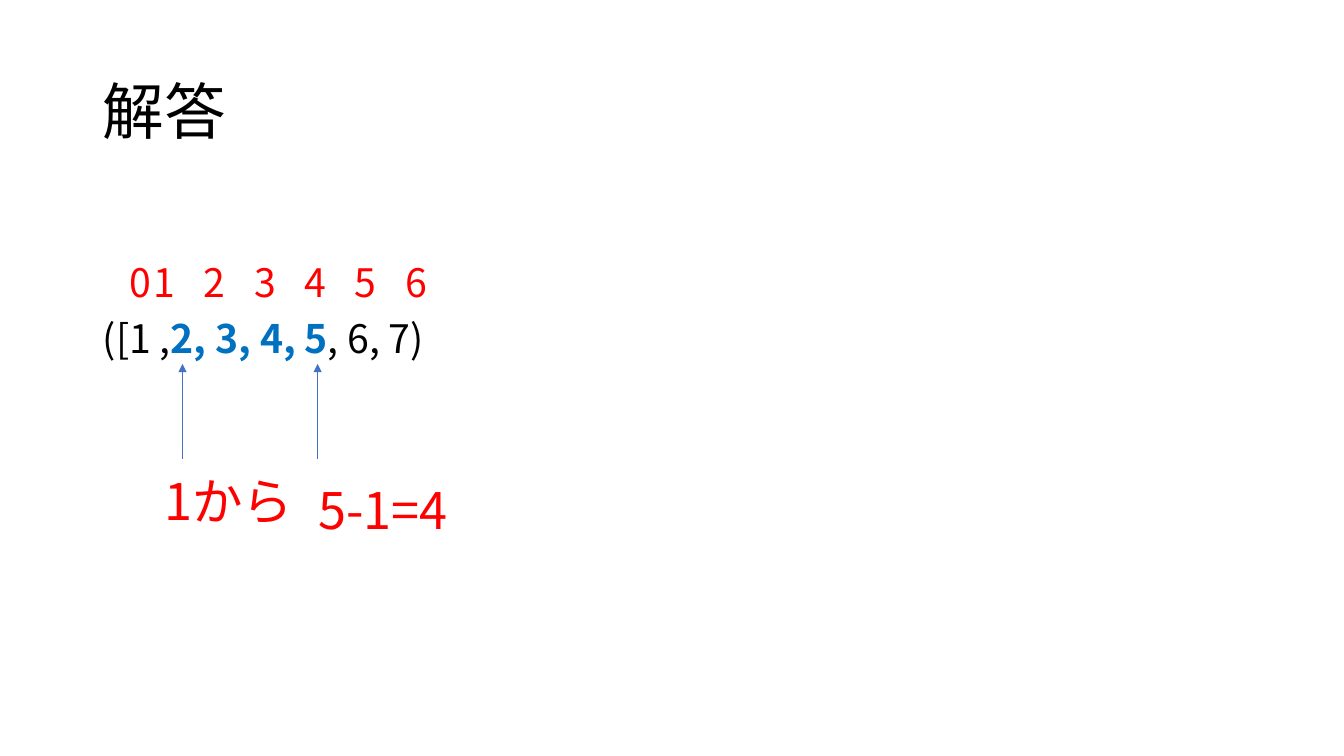
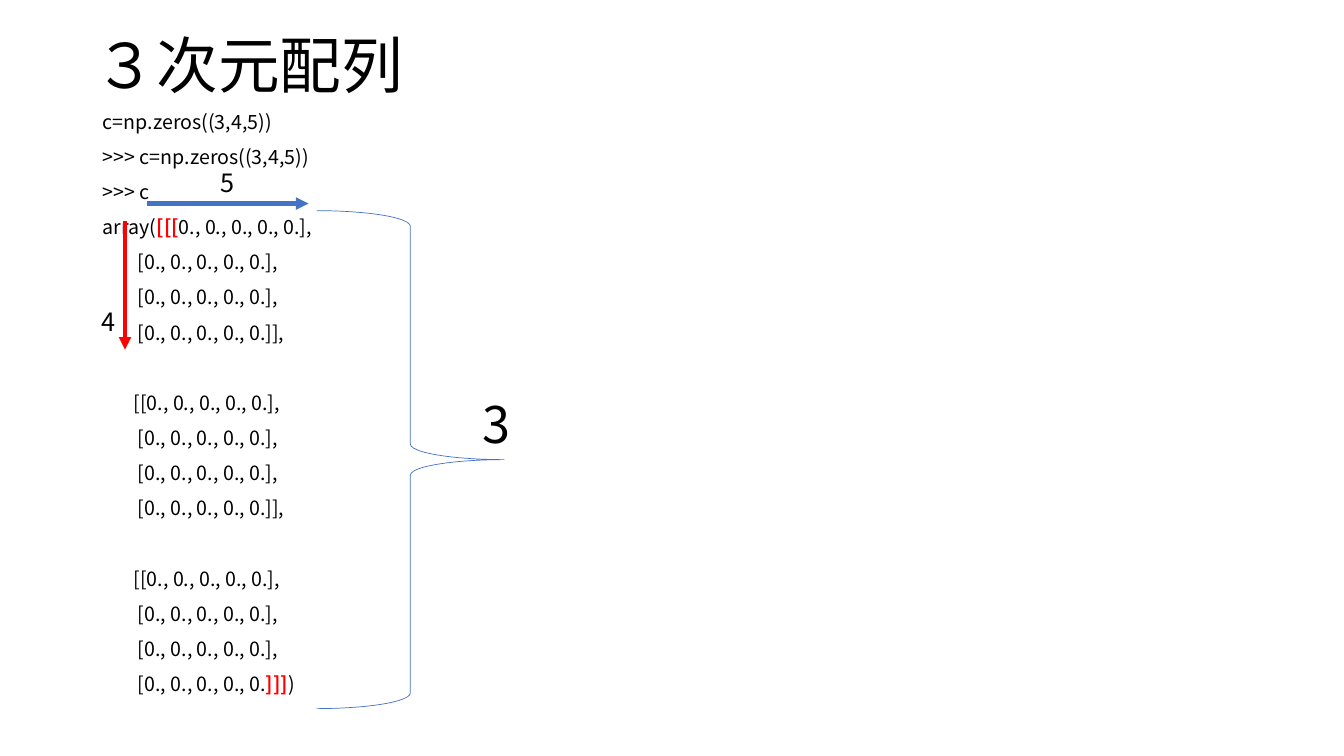
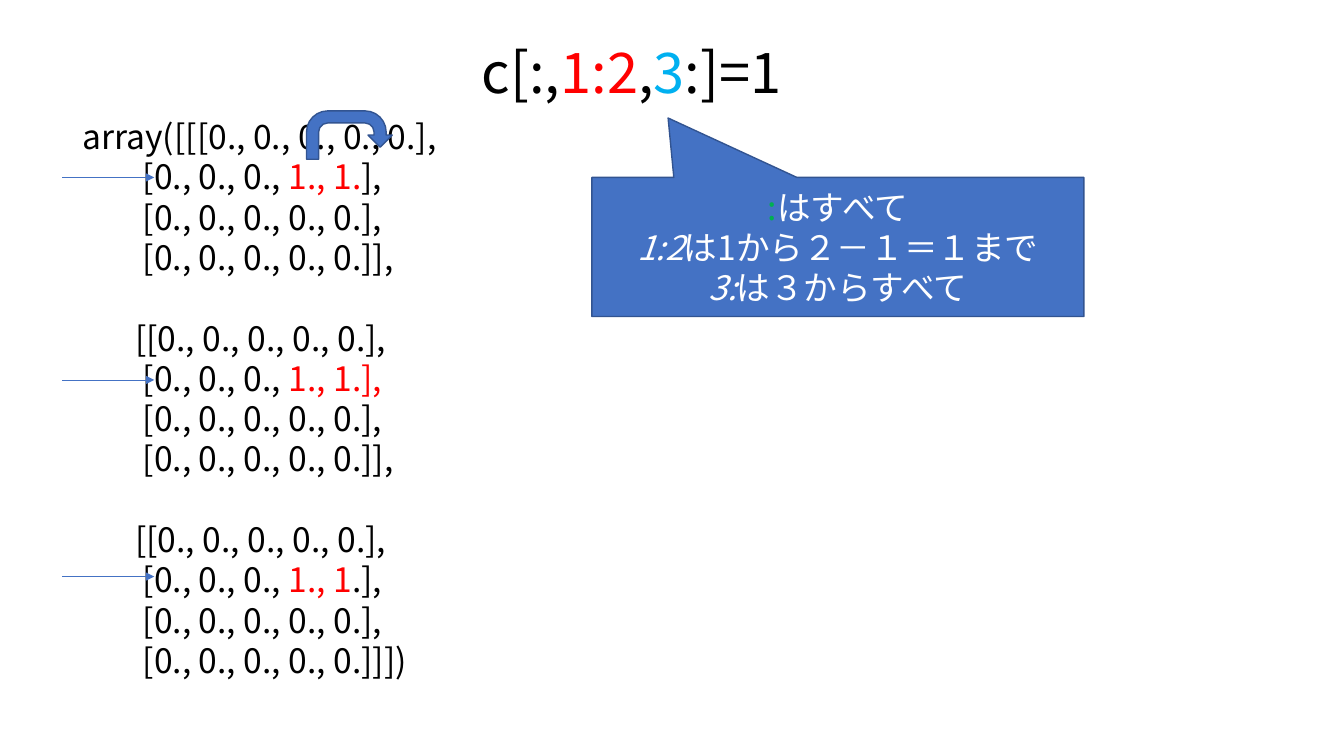
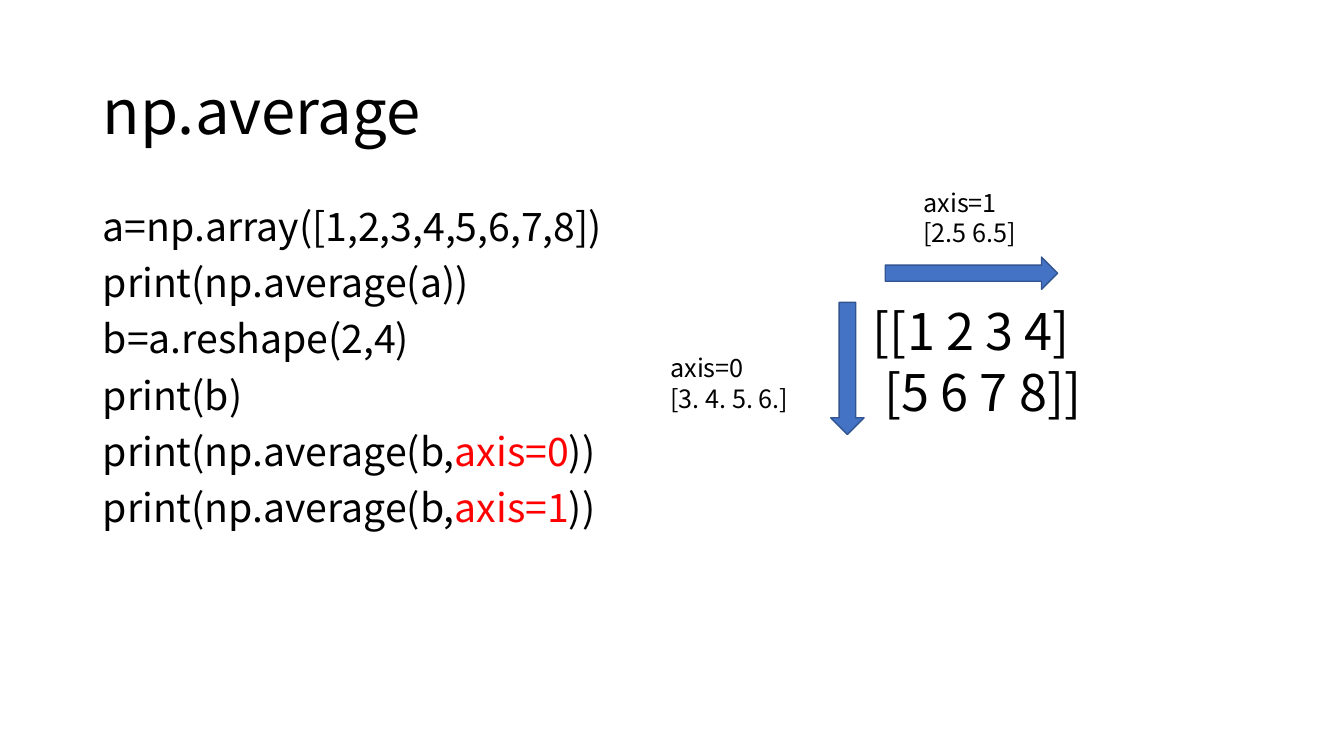
from dataclasses import dataclass

from lxml import etree
from pptx import Presentation
from pptx import util as u
from pptx.dml.color import RGBColor
from pptx.enum import shapes, text
from pptx.oxml import ns

Inches = u.Inches


@dataclass(frozen=True)
class Theme:
    font: str = "Noto Sans CJK JP"
    black: str = "000000"
    white: str = "FFFFFF"
    red: str = "FF0000"
    green: str = "00B050"
    cyan: str = "00B0F0"
    strong_blue: str = "0070C0"
    blue: str = "4472C4"
    edge: str = "325491"
    title: int = 44
    formula: int = 40
    large: int = 36
    body: int = 28
    array: int = 24
    label: int = 18
    code: int = 14
    leading: float = 1.2
    tight: float = 1.08
    before: int = 10
    space: float = 0.224


THEME = Theme()
RED = {"color": THEME.red}
RED_BOLD = {"color": THEME.red, "bold": True}
ITALIC = {"italic": True}


@dataclass(frozen=True)
class Line:
    runs: tuple
    indent: int = 0
    gap: bool = False
    tab: float = 0


def line(*runs, **options):
    return Line(runs, **options)


def assign(target, values):
    for name, value in values.items():
        setattr(target, name, value)


def add_element(parent, tag, **attributes):
    return etree.SubElement(parent, ns.qn(tag), attributes)


def place(shape, left, top, width, height):
    assign(shape, {"left": Inches(left), "top": Inches(top),
                   "width": Inches(width), "height": Inches(height)})


def add_run(paragraph, content, size, color):
    words, style = content if isinstance(content, tuple) else (content, {})
    run = paragraph.add_run()
    run.text = words
    values = {"name": THEME.font, "size": u.Pt(size), "bold": False, "italic": False}
    values.update(style)
    font_color = values.pop("color", color)
    assign(run.font, values)
    run.font.color.rgb = RGBColor.from_string(font_color)
    add_element(run.font._element, "a:ea", typeface=THEME.font)


def write(shape, lines, size, color=THEME.black, leading=THEME.leading, before=0,
          align=text.PP_ALIGN.LEFT, anchor=text.MSO_ANCHOR.TOP, wrap=True):
    frame = shape.text_frame
    assign(frame, {"word_wrap": wrap, "auto_size": text.MSO_AUTO_SIZE.NONE,
                   "vertical_anchor": anchor})
    height = size * leading
    for index, item in enumerate(lines):
        paragraph = frame.add_paragraph() if index else frame.paragraphs[0]
        space_before = 2 * before + height if item.gap else before
        assign(paragraph, {"alignment": align, "line_spacing": u.Pt(height),
                           "space_before": u.Pt(space_before)})
        indent = item.indent * THEME.space * size / 72
        properties = paragraph._p.get_or_add_pPr()
        properties.set("marL", "0")
        properties.set("indent", str(Inches(indent)))
        add_element(properties, "a:buNone")
        if item.tab:
            tabs = add_element(properties, "a:tabLst")
            for stop in range(1, 7):
                add_element(tabs, "a:tab", pos=str(Inches(indent + stop * item.tab)), algn="l")
        for content in item.runs:
            add_run(paragraph, content, size, color)


def add_title(slide, box, *runs, size=THEME.title, leading=THEME.tight):
    place(slide.shapes.title, *box)
    write(slide.shapes.title, [line(*runs)], size, leading=leading,
          anchor=text.MSO_ANCHOR.MIDDLE)


def add_body(slide, box, lines, size):
    body = slide.placeholders[1]
    place(body, *box)
    write(body, lines, size, leading=THEME.tight, before=THEME.before)


def add_text(slide, box, lines, size, color=THEME.black, wrap=True):
    textbox = slide.shapes.add_textbox(*map(Inches, box))
    write(textbox, lines, size, color, wrap=wrap)


def add_arrow(slide, start, end, color=THEME.blue, width=0.5):
    connector = slide.shapes.add_connector(
        shapes.MSO_CONNECTOR.STRAIGHT, *map(Inches, start + end))
    connector.line.color.rgb = RGBColor.from_string(color)
    connector.line.width = u.Pt(width)
    add_element(connector.line._get_or_add_ln(), "a:tailEnd", type="triangle")
    add_element(connector._element.spPr, "a:effectLst")


def add_preset(slide, kind, box, fill=THEME.blue, edge=THEME.edge, width=1):
    shape = slide.shapes.add_shape(kind, *map(Inches, box))
    shape.shadow.inherit = False
    if fill:
        shape.fill.solid()
        shape.fill.fore_color.rgb = RGBColor.from_string(fill)
    else:
        shape.fill.background()
    shape.line.color.rgb = RGBColor.from_string(edge)
    shape.line.width = u.Pt(width)
    return shape


def array_lines(special):
    zeros = "0., 0., 0., 0., 0."
    lines = []
    for block in range(3):
        for row in range(4):
            opening = "[" if row else "[[" if block else "array([[["
            closing = "]," if row < 3 else "]]," if block < 2 else "]]])"
            runs = special.get((block, row), (opening + zeros + closing,))
            indent = 8 if row else 7 if block else 0
            lines.append(line(*runs, indent=indent, gap=block > 0 and row == 0))
    return lines


def build_answer(slide):
    add_title(slide, (0.92, 0.4, 11.5, 1.45), "解答")
    add_body(slide, (0.92, 2.56, 11.5, 4.2), [
        line(("\t".join(map(str, range(7))), RED), indent=3, tab=0.39),
        line("([1 ,", ("2, 3, 4, 5", {"color": THEME.strong_blue, "bold": True}), ", 6, 7)"),
    ], THEME.body)
    for x in (1.81, 3.15):
        add_arrow(slide, (x, 4.55), (x, 3.61))
    add_text(slide, (3.06, 4.7, 1.63, 0.71), [line("5-1=4")], THEME.large, THEME.red, wrap=False)
    add_text(slide, (1.53, 4.61, 1.49, 0.71), [line("1から")], THEME.large, THEME.red)


def build_three_dimensions(slide):
    add_title(slide, (0.84, -0.05, 11.5, 1.45), "３次元配列")
    commands = ("c=np.zeros((3,4,5))", ">>> c=np.zeros((3,4,5))", ">>> c")
    brackets = {
        (0, 0): ("array(", ("[[[", RED_BOLD), "0., 0., 0., 0., 0.],"),
        (2, 3): ("[0., 0., 0., 0., 0.", ("]]]", RED_BOLD), ")"),
    }
    add_body(slide, (0.92, 1.06, 11.5, 5.21),
             [line(command) for command in commands] + array_lines(brackets), THEME.code)
    add_arrow(slide, (1.24, 2.19), (1.24, 3.47), THEME.red, 3)
    add_arrow(slide, (1.46, 2.02), (3.06, 2.02), width=3)
    add_preset(slide, shapes.MSO_SHAPE.RIGHT_BRACE, (3.14, 2.09, 1.86, 4.94),
               fill=None, edge=THEME.blue, width=0.5)
    for count, box, size in (
        ("5", (2.09, 1.61, 0.34, 0.4), THEME.label),
        ("4", (0.91, 2.99, 0.34, 0.4), THEME.label),
        ("3", (4.69, 3.85, 0.48, 0.71), THEME.large),
    ):
        add_text(slide, box, [line(count)], size, wrap=False)


def build_slicing(slide):
    start = "[0., 0., 0., "
    ones = {
        (0, 1): (start, ("1., 1.", RED), "],"),
        (1, 1): (start, ("1., 1.],", RED)),
        (2, 1): (start, ("1., 1", RED), ".],"),
    }
    add_text(slide, (0.72, 1.1, 6.94, 5.76), array_lines(ones), THEME.array)
    add_title(slide, (4.68, 0.32, 6.67, 0.77), "c[:,", ("1:2", RED), ",",
              ("3", {"color": THEME.cyan}), ":]=1",
              size=THEME.formula, leading=THEME.leading)
    for y in (1.76, 3.77, 5.72):
        add_arrow(slide, (0.62, y), (1.53, y))
    add_preset(slide, shapes.MSO_SHAPE.U_TURN_ARROW, (3.04, 1.1, 0.85, 0.48))
    callout = add_preset(slide, shapes.MSO_SHAPE.RECTANGULAR_CALLOUT, (5.87, 1.76, 4.88, 1.38))
    callout.adjustments[0] = -0.345
    callout.adjustments[1] = -0.927
    write(callout, [
        line((":", {"color": THEME.green}), "はすべて"),
        line(("1:2", ITALIC), "は1から２－１＝１まで"),
        line(("3:", ITALIC), "は３からすべて"),
    ], THEME.array, THEME.white, align=text.PP_ALIGN.CENTER, anchor=text.MSO_ANCHOR.MIDDLE)


def build_average(slide):
    add_title(slide, (0.92, 0.4, 11.5, 1.45), "np.average")
    commands = ("a=np.array([1,2,3,4,5,6,7,8])", "print(np.average(a))",
                "b=a.reshape(2,4)", "print(b)")
    averages = [line("print(np.average(b,", (f"axis={axis}", RED), "))") for axis in range(2)]
    add_body(slide, (0.92, 2, 6.35, 4.76),
             [line(command) for command in commands] + averages, THEME.body)
    add_text(slide, (8.56, 2.93, 3.73, 1.31),
             [line("[[1 2 3 4]"), line("[5 6 7 8]]", indent=1)], THEME.large)
    add_preset(slide, shapes.MSO_SHAPE.DOWN_ARROW, (8.24, 3, 0.33, 1.31))
    add_preset(slide, shapes.MSO_SHAPE.RIGHT_ARROW, (8.78, 2.55, 1.71, 0.32))
    for axis, result, box in (
        ("axis=1", "[2.5 6.5]", (9.06, 1.81, 1.63, 0.71)),
        ("axis=0", "[3. 4. 5. 6.]", (6.55, 3.45, 1.75, 0.71)),
    ):
        add_text(slide, box, [line(axis), line(result)], THEME.label)


def main():
    presentation = Presentation()
    assign(presentation, {"slide_width": Inches(13.33), "slide_height": Inches(7.5)})
    title_and_body, title_only = 1, 5
    for build, layout in (
        (build_answer, title_and_body),
        (build_three_dimensions, title_and_body),
        (build_slicing, title_only),
        (build_average, title_and_body),
    ):
        build(presentation.slides.add_slide(presentation.slide_layouts[layout]))
    presentation.save("out.pptx")


main()
